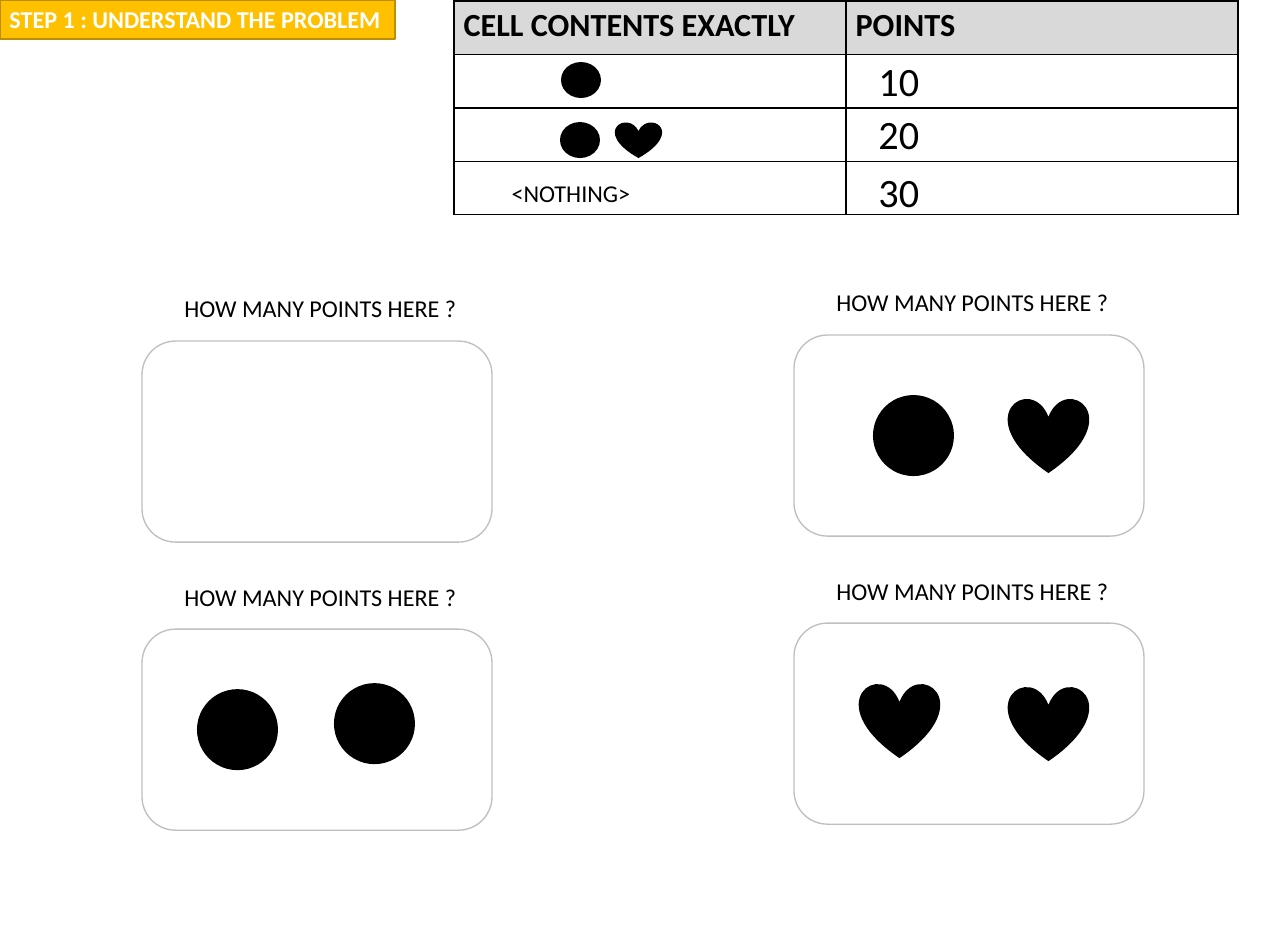
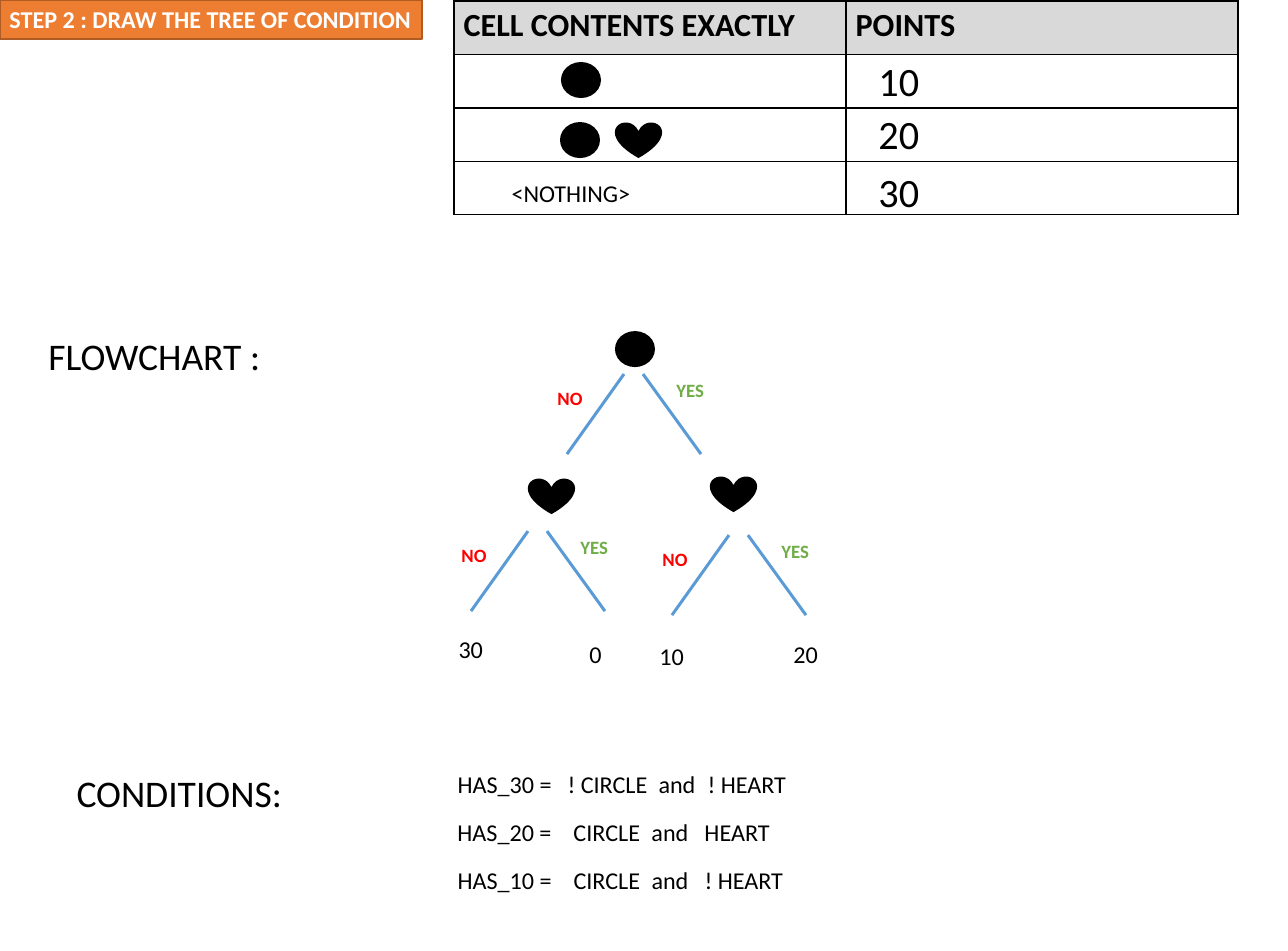
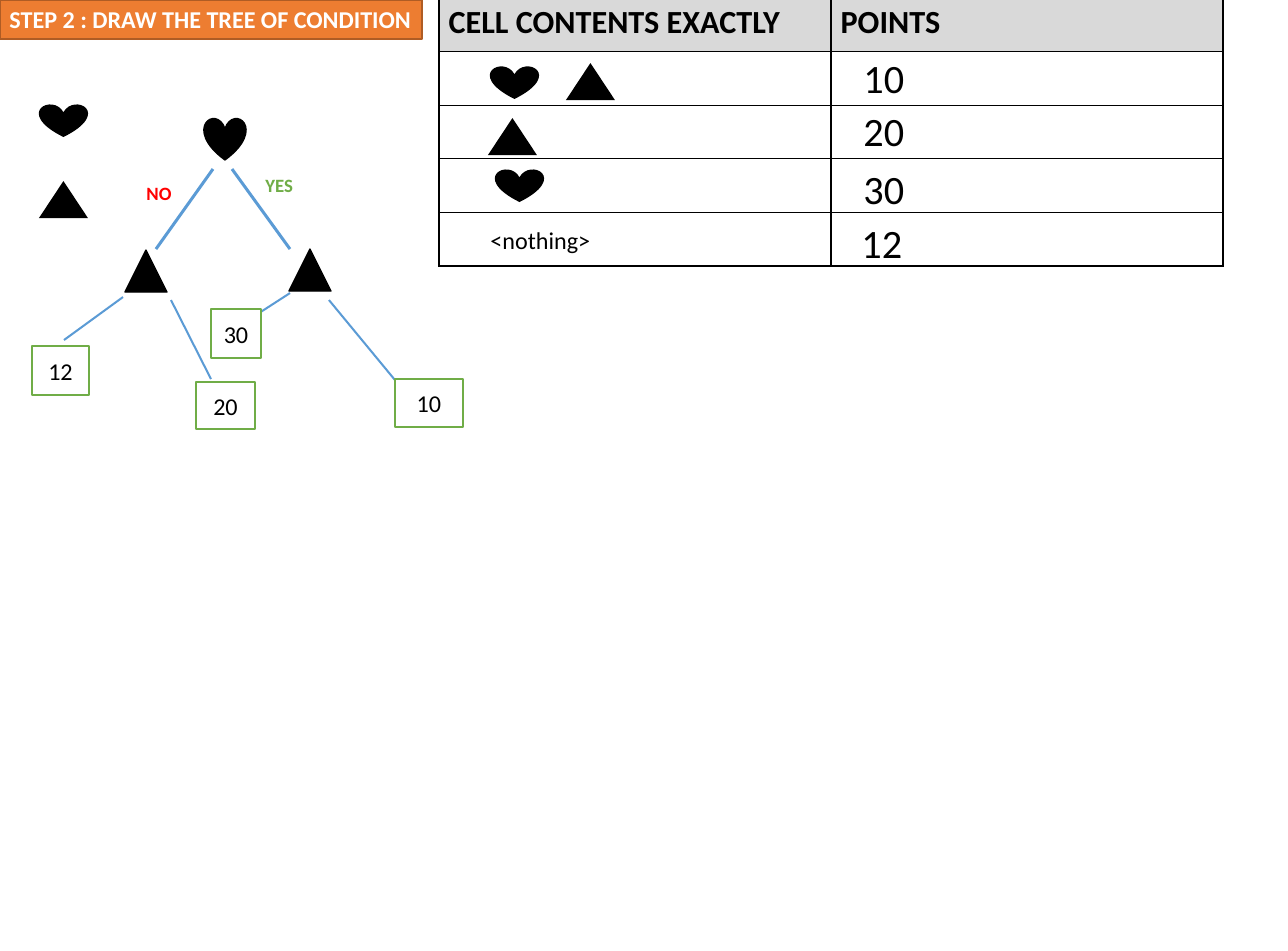
from lxml.etree import SubElement
from pptx import Presentation
from pptx.dml.color import RGBColor
from pptx.enum.shapes import MSO_CONNECTOR, MSO_SHAPE
from pptx.enum.text import MSO_ANCHOR, MSO_AUTO_SIZE, PP_ALIGN
from pptx.oxml import parse_xml
from pptx.oxml.ns import nsdecls, qn
from pptx.util import Emu, Pt

PX_PER_INCH = 96.6
SLIDE_WIDTH, SLIDE_HEIGHT = Emu(12192000), Emu(9000000)
FONT = "Calibri"
COLORS = {
    "black": "000000", "white": "FFFFFF", "header": "D9D9D9", "frame": "BFBFBF",
    "amber": "FFC000", "amber_edge": "BD8E00", "orange": "ED7D31", "orange_edge": "AF5C24",
    "blue": "5B9BD5", "green": "70AD47", "red": "FF0000",
}
CIRCLE, HEART = MSO_SHAPE.OVAL, MSO_SHAPE.HEART
TRIANGLE, EXTRACT = MSO_SHAPE.ISOSCELES_TRIANGLE, MSO_SHAPE.FLOWCHART_EXTRACT
POINT_CELLS = [("10", 415, 50), ("20", 415, 103), ("30", 415, 161), ("12", 413, 215)]


def px(value):
    return Emu(round(value * 914400 / PX_PER_INCH))


def color(name):
    return RGBColor.from_string(COLORS[name])


def write(frame, text, size=18, ink="black", bold=False, align=PP_ALIGN.LEFT,
          anchor=MSO_ANCHOR.TOP, wrap=False, stops=()):
    frame.word_wrap = wrap
    frame.auto_size = MSO_AUTO_SIZE.NONE if wrap else MSO_AUTO_SIZE.SHAPE_TO_FIT_TEXT
    frame.vertical_anchor = anchor
    paragraph = frame.paragraphs[0]
    paragraph.alignment = align
    if stops:
        tabs = SubElement(paragraph._p.get_or_add_pPr(), qn("a:tabLst"))
        for stop in stops:
            SubElement(tabs, qn("a:tab"), pos=str(px(stop)), algn="l")
    run = paragraph.add_run()
    run.text = text
    run.font.name = FONT
    run.font.size = Pt(size)
    run.font.bold = bold
    run.font.color.rgb = color(ink)


class Deck:
    def __init__(self):
        self.presentation = Presentation()
        self.presentation.slide_width = SLIDE_WIDTH
        self.presentation.slide_height = SLIDE_HEIGHT
        self.slide = None

    def new_slide(self):
        self.slide = self.presentation.slides.add_slide(self.presentation.slide_layouts[6])

    def text(self, text, left, top, width, height, **style):
        box = self.slide.shapes.add_textbox(px(left), px(top), px(width), px(height))
        write(box.text_frame, text, **style)

    def shape(self, kind, left, top, width, height, fill="black", line=None):
        shape = self.slide.shapes.add_shape(kind, px(left), px(top), px(width), px(height))
        shape.shadow.inherit = False
        if fill:
            shape.fill.solid()
            shape.fill.fore_color.rgb = color(fill)
        else:
            shape.fill.background()
        if line:
            shape.line.color.rgb = color(line)
            shape.line.width = Pt(1)
        else:
            shape.line.fill.background()
        return shape

    def step_tag(self, text, width, fill, edge):
        tag = self.shape(MSO_SHAPE.RECTANGLE, 0, 0, width, 39, fill, edge)
        write(tag.text_frame, text, ink="white", bold=True)

    def result_box(self, text, left, top, width, height):
        box = self.shape(MSO_SHAPE.RECTANGLE, left, top, width, height, "white", "green")
        write(box.text_frame, text, align=PP_ALIGN.CENTER, anchor=MSO_ANCHOR.MIDDLE, wrap=True)

    def line(self, start, end, weight):
        connector = self.slide.shapes.add_connector(
            MSO_CONNECTOR.STRAIGHT, *(px(value) for value in start + end))
        connector.line.color.rgb = color("blue")
        connector.line.width = Pt(weight)
        SubElement(connector._element.spPr, qn("a:effectLst"))

    def fork(self, left, top):
        self.line((left, top + 80), (left + 57, top), 2.25)
        self.line((left + 134, top + 80), (left + 76, top), 2.25)
        self.text("YES", left + 100, top, 48, 33, size=14, ink="green", bold=True)
        self.text("NO", left - 19, top + 8, 46, 33, size=14, ink="red", bold=True)

    def cell(self, cell, text, fill):
        if text:
            write(cell.text_frame, text, size=24, bold=True, wrap=True)
        if fill:
            cell.fill.solid()
            cell.fill.fore_color.rgb = color(fill)
        else:
            cell.fill.background()
        for index, side in enumerate(("lnL", "lnR", "lnT", "lnB")):
            border = parse_xml(
                f'<a:{side} {nsdecls("a")} w="12700"><a:solidFill>'
                f'<a:srgbClr val="{COLORS["black"]}"/></a:solidFill></a:{side}>')
            cell._tc.get_or_add_tcPr().insert(index, border)

    def points_table(self, left, top, height, count):
        table = self.slide.shapes.add_table(
            count + 1, 2, px(left), px(top), px(784), px(height)).table
        table.first_row = table.horz_banding = False
        for row_index, row in enumerate(table.rows):
            for cell, title in zip(row.cells, ("CELL CONTENTS EXACTLY", "POINTS")):
                header = row_index == 0
                self.cell(cell, title if header else "", "header" if header else None)
        for text, x, y in POINT_CELLS[:count]:
            self.text(text, left + x, top + y, 61, 59, size=30)

    def circle_heart_table(self):
        self.points_table(454, 1, 214, 3)
        self.text("<NOTHING>", 502, 174, 139, 39)
        self.shape(CIRCLE, 561, 62, 40, 36)
        self.shape(CIRCLE, 560, 122, 40, 36)
        self.shape(HEART, 615, 122, 47, 36)

    def card(self, left, top):
        self.shape(MSO_SHAPE.ROUNDED_RECTANGLE, left, top, 350, 201, None, "frame")
        self.text("HOW MANY POINTS HERE ?", left + 33, top - 52, 294, 39)

    def tree_tag(self):
        self.step_tag("STEP 2 : DRAW THE TREE OF CONDITION", 422, "orange", "orange_edge")


def problem_slide(deck):
    deck.new_slide()
    deck.circle_heart_table()
    deck.step_tag("STEP 1 : UNDERSTAND THE PROBLEM", 395, "amber", "amber_edge")
    for left, top in ((142, 341), (794, 335)):
        for row in range(2):
            deck.card(left, top + 288 * row)
    for left, top in ((873, 395), (197, 689), (334, 683)):
        deck.shape(CIRCLE, left, top, 81, 81)
    for left, top in ((1008, 398), (1008, 686), (859, 683)):
        deck.shape(HEART, left, top, 81, 75)


def flowchart_slide(deck):
    deck.new_slide()
    deck.circle_heart_table()
    deck.tree_tag()
    for left, top in ((567, 374), (471, 531), (672, 535)):
        deck.fork(left, top)
    deck.shape(CIRCLE, 615, 331, 40, 36)
    deck.shape(HEART, 528, 478, 47, 36)
    deck.shape(HEART, 710, 476, 47, 36)
    for text, left, top, width in (("30", 449, 629, 45), ("0", 580, 634, 33),
                                   ("10", 650, 636, 45), ("20", 784, 634, 45)):
        deck.text(text, left, top, width, 39)
    deck.text("FLOWCHART :", 39, 328, 242, 55, size=28)
    deck.text("CONDITIONS:", 67, 765, 236, 55, size=28)
    conditions = (
        ("HAS_30 =\t! CIRCLE\tand\t! HEART", 352, (110, 201, 250)),
        ("HAS_20 =\tCIRCLE\tand\tHEART", 335, (116, 194, 247)),
        ("HAS_10 =\tCIRCLE\tand\t! HEART", 349, (116, 194, 247)),
    )
    for row, (text, width, stops) in enumerate(conditions):
        deck.text(text, 448, 764 + 48 * row, width, 39, stops=stops)


def second_tree_slide(deck):
    deck.new_slide()
    deck.fork(156, 169)
    deck.tree_tag()
    deck.points_table(439, -2, 268, 4)
    deck.text("<nothing>", 481, 221, 121, 39)
    for left, top in ((566, 63), (488, 118), (39, 181)):
        deck.shape(TRIANGLE, left, top, 49, 37)
    for left, top in ((490, 66), (495, 169), (39, 104)):
        deck.shape(HEART, left, top, 49, 33)
    for kind, left, top in ((HEART, 204, 118), (EXTRACT, 289, 249), (EXTRACT, 125, 250)):
        deck.shape(kind, left, top, 42, 42, line="black")
    leaves = (
        ((329, 300), (395, 380), "10", (395, 379, 68, 48)),
        ((171, 300), (211, 379), "20", (196, 382, 59, 47)),
        ((290, 293), (256, 315), "30", (211, 309, 50, 49)),
        ((123, 297), (64, 340), "12", (32, 346, 57, 49)),
    )
    for start, end, text, place in leaves:
        deck.line(start, end, 1.5)
        deck.result_box(text, *place)


def main():
    deck = Deck()
    problem_slide(deck)
    flowchart_slide(deck)
    second_tree_slide(deck)
    deck.presentation.save("out.pptx")


if __name__ == "__main__":
    main()
